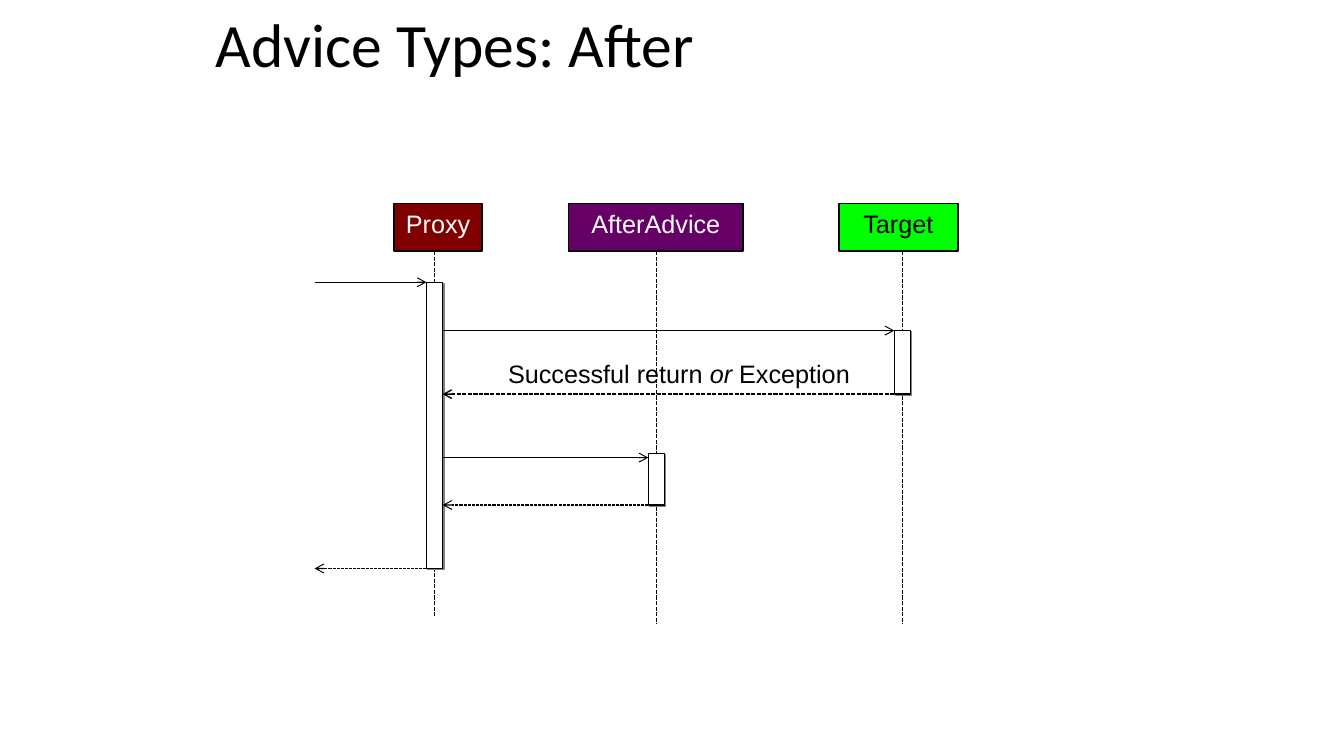
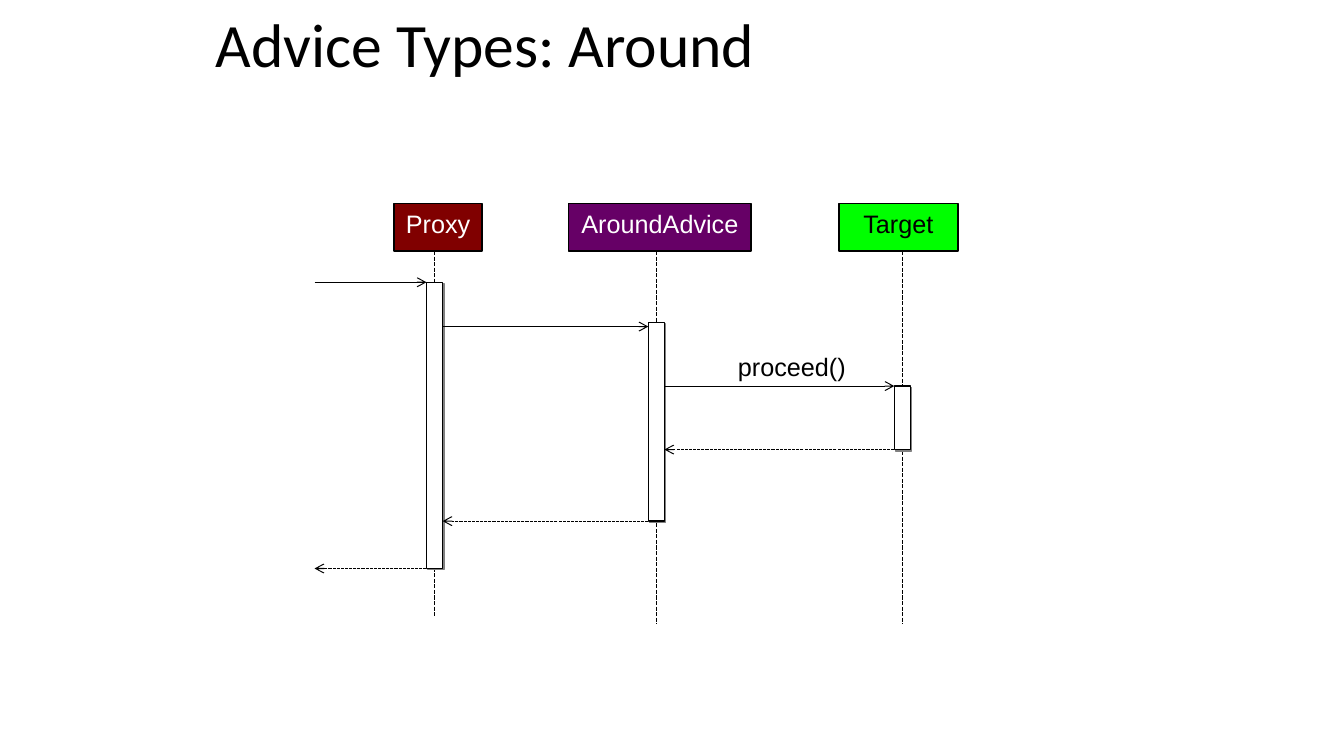
import lxml.etree
import pptx
import pptx.dml.color
import pptx.enum.dml
import pptx.enum.shapes
import pptx.enum.text
import pptx.oxml.ns
import pptx.util

EMU_PER_PX = 9144
BLACK = pptx.dml.color.RGBColor(0x00, 0x00, 0x00)
WHITE = pptx.dml.color.RGBColor(0xFF, 0xFF, 0xFF)
MAROON = pptx.dml.color.RGBColor(0x80, 0x00, 0x00)
PURPLE = pptx.dml.color.RGBColor(0x66, 0x00, 0x66)
GREEN = pptx.dml.color.RGBColor(0x00, 0xFF, 0x00)
GREY = pptx.dml.color.RGBColor(0x80, 0x80, 0x80)

TITLE_FONT, TITLE_SIZE = "Calibri", 44
BODY_FONT, BODY_SIZE = "Arial", 18
TITLE_BOX = (204, 9, 688, 77)
DIAGRAM_BOX = (312, 202, 638, 417)

HEAD_H = 47
BAR_W = 16
CENTRES = {"caller": 0, "proxy": 119, "advice": 339, "target": 583}
LIFELINE_ENDS = {"proxy": 409, "advice": 417, "target": 417}
PROXY_TOP, PROXY_BOTTOM = 78, 362

SLIDES = [
    {
        "title": "Advice Types: After",
        "advice": ("AfterAdvice", 173),
        "bars": {"advice": (248, 299), "target": (126, 189)},
        "messages": [
            ("proxy", "target", 126, 0.75),
            ("target", "proxy", 189, 1),
            ("proxy", "advice", 252, 0.75),
            ("advice", "proxy", 299, 0.75),
        ],
        "label": (182, 149, 362, 39),
        "label_runs": [("Successful return ", False), ("or", True), (" Exception", False)],
    },
    {
        "title": "Advice Types: Around",
        "advice": ("AroundAdvice", 181),
        "bars": {"advice": (118, 315), "target": (181, 244)},
        "messages": [
            ("proxy", "advice", 122, 0.75),
            ("advice", "target", 181, 0.75),
            ("target", "advice", 244, 0.75),
            ("advice", "proxy", 315, 0.75),
        ],
        "label": (410, 142, 128, 39),
        "label_runs": [("proceed()", False)],
    },
]


def px(*lengths):
    return [pptx.util.Emu(n * EMU_PER_PX) for n in lengths]


def add_runs(p, runs, font, size, color):
    for text, italic in runs:
        r = p.add_run()
        r.text = text
        r.font.name = font
        r.font.size = pptx.util.Pt(size)
        r.font.italic = italic
        r.font.color.rgb = color


def add_text(slide, box, runs, font, size, wrap):
    tf = slide.shapes.add_textbox(*px(*box)).text_frame
    tf.word_wrap = wrap
    p = tf.paragraphs[0]
    add_runs(p, runs, font, size, BLACK)
    return p


def add_title(slide, box, text):
    p = add_text(slide, box, [(text, False)], TITLE_FONT, TITLE_SIZE, True)
    p.line_spacing = 0.9


def add_box(slide, x, y, w, h, fill):
    sp = slide.shapes.add_shape(pptx.enum.shapes.MSO_SHAPE.RECTANGLE, *px(x, y, w, h))
    sp.shadow.inherit = False
    sp.fill.solid()
    sp.fill.fore_color.rgb = fill
    sp.line.color.rgb = BLACK
    sp.line.width = pptx.util.Pt(1)
    return sp


def add_header(slide, x, y, w, name, fill, color):
    tf = add_box(slide, x, y, w, HEAD_H, fill).text_frame
    tf.word_wrap = False
    tf.vertical_anchor = pptx.enum.text.MSO_ANCHOR.TOP
    p = tf.paragraphs[0]
    p.alignment = pptx.enum.text.PP_ALIGN.CENTER
    add_runs(p, [(name, False)], BODY_FONT, BODY_SIZE, color)


def add_bar(slide, x, top, bottom):
    sp = add_box(slide, x - BAR_W // 2, top, BAR_W, bottom - top, WHITE)
    qn = pptx.oxml.ns.qn
    effects = sp._element.spPr.find(qn("a:effectLst"))
    shadow = lxml.etree.SubElement(
        effects, qn("a:outerShdw"), dist="17780", dir="2700000", algn="ctr", rotWithShape="0"
    )
    lxml.etree.SubElement(shadow, qn("a:srgbClr"), val=str(GREY))


def add_line(slide, x1, y1, x2, y2, width, dashed, arrow):
    qn = pptx.oxml.ns.qn
    line = slide.shapes.add_connector(
        pptx.enum.shapes.MSO_CONNECTOR.STRAIGHT, *px(x1, y1, x2, y2)
    )
    line.line.color.rgb = BLACK
    line.line.width = pptx.util.Pt(width)
    if dashed:
        line.line.dash_style = pptx.enum.dml.MSO_LINE.SQUARE_DOT
    spPr = line._element.spPr
    if arrow:
        lxml.etree.SubElement(spPr.find(qn("a:ln")), qn("a:tailEnd"), type="arrow")
    lxml.etree.SubElement(spPr, qn("a:effectLst"))


def add_message(slide, x, y, sender, receiver, width):
    start, end = CENTRES[sender], CENTRES[receiver]
    step = BAR_W // 2 if end > start else -BAR_W // 2
    if sender != "caller":
        start += step
    if receiver != "caller":
        end -= step
    add_line(slide, x + start, y, x + end, y, width, step < 0, True)


def add_sequence(slide, box, content):
    x, y, w, h = box
    for who, end in LIFELINE_ENDS.items():
        centre = x + CENTRES[who]
        add_line(slide, centre, y + HEAD_H, centre, y + end, 1, True, False)

    advice_name, advice_w = content["advice"]
    headers = [
        (79, 87, "Proxy", MAROON, WHITE),
        (252, advice_w, advice_name, PURPLE, WHITE),
        (520, w - 520, "Target", GREEN, BLACK),
    ]
    for left, width, name, fill, color in headers:
        add_header(slide, x + left, y, width, name, fill, color)

    bars = {"proxy": (PROXY_TOP, PROXY_BOTTOM), **content["bars"]}
    for who, (top, bottom) in bars.items():
        add_bar(slide, x + CENTRES[who], y + top, y + bottom)

    messages = [
        ("caller", "proxy", PROXY_TOP, 0.75),
        *content["messages"],
        ("proxy", "caller", PROXY_BOTTOM, 0.75),
    ]
    for sender, receiver, top, width in messages:
        add_message(slide, x, y + top, sender, receiver, width)

    left, top, width, height = content["label"]
    add_text(slide, (x + left, y + top, width, height), content["label_runs"],
             BODY_FONT, BODY_SIZE, False)


def main():
    prs = pptx.Presentation()
    prs.slide_width, prs.slide_height = px(1333, 750)
    for content in SLIDES:
        slide = prs.slides.add_slide(prs.slide_layouts[6])
        add_title(slide, TITLE_BOX, content["title"])
        add_sequence(slide, DIAGRAM_BOX, content)
    prs.save("out.pptx")


if __name__ == "__main__":
    main()
